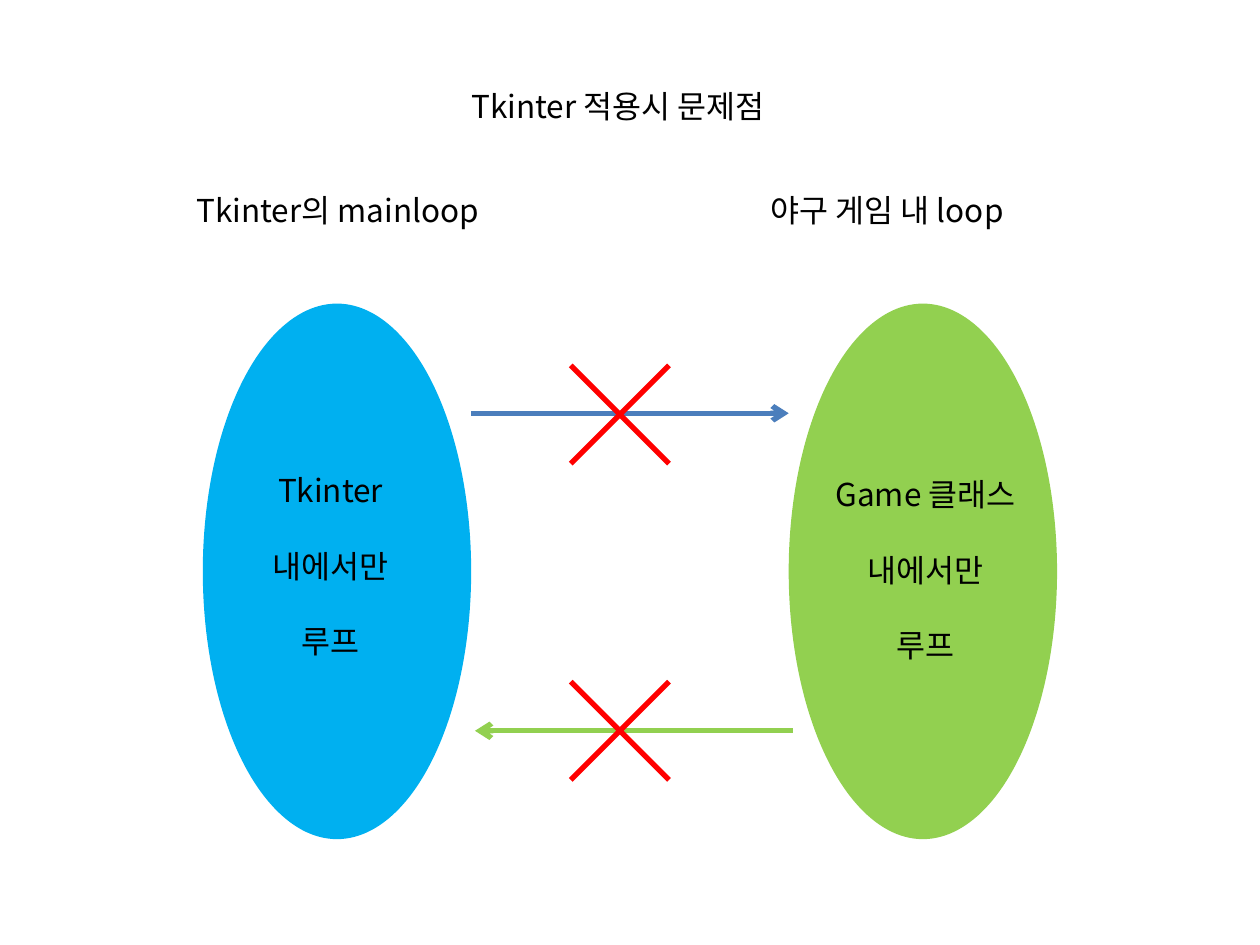
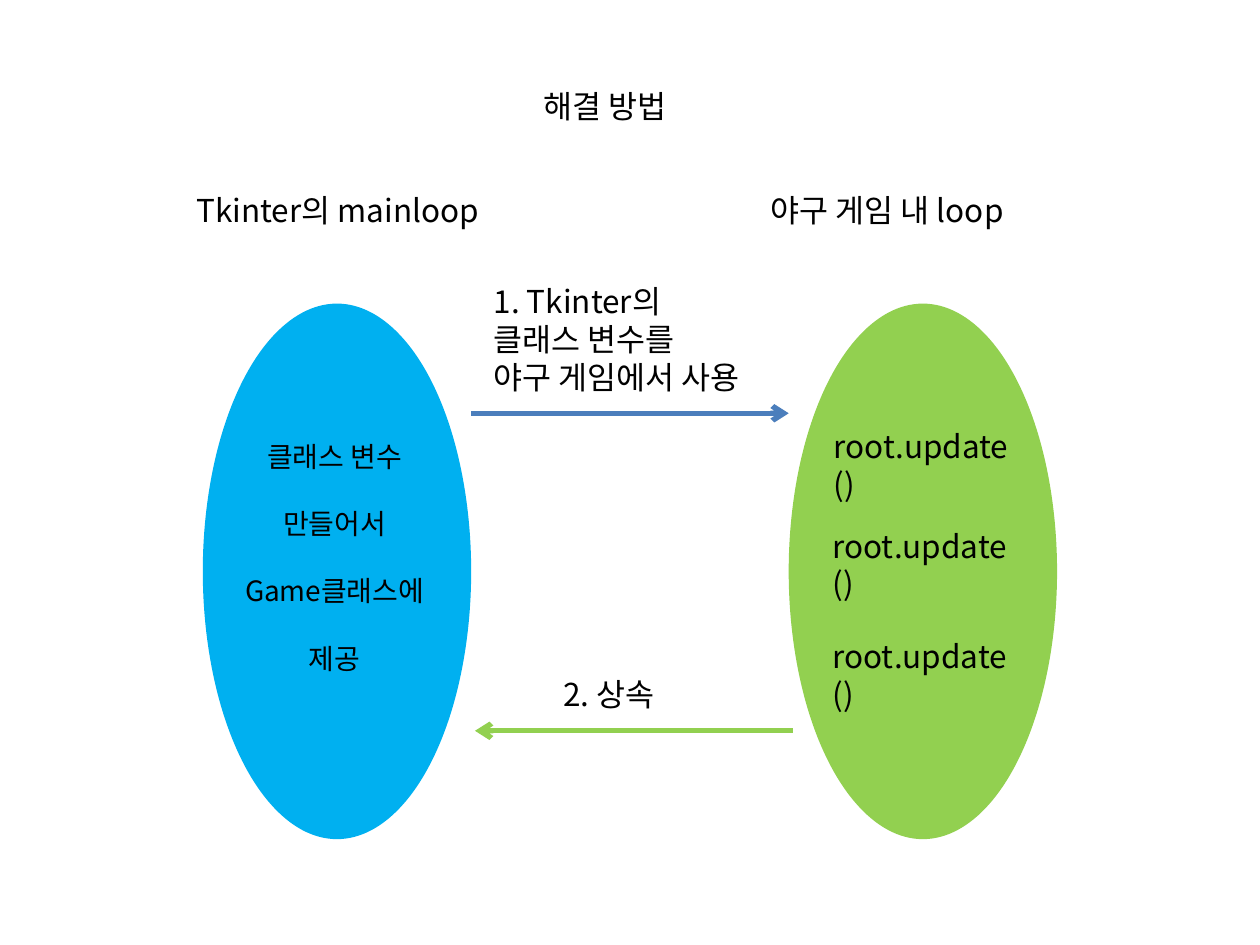
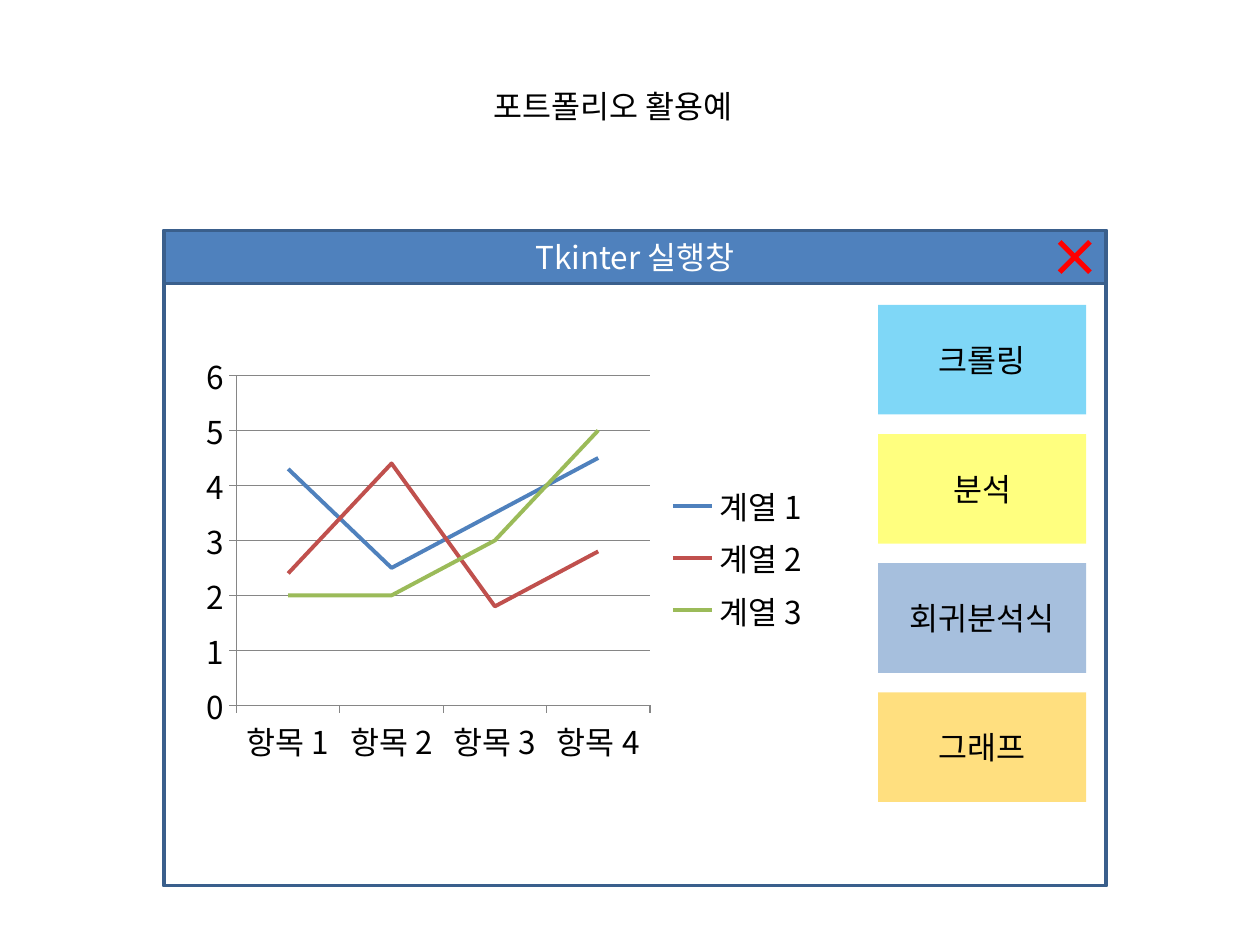
"""Build three slides on running Tkinter next to a game loop."""
from dataclasses import dataclass

from lxml import etree
from pptx import Presentation
from pptx.chart.data import CategoryChartData
from pptx.dml.color import RGBColor
from pptx.enum.chart import XL_CHART_TYPE, XL_LEGEND_POSITION, XL_TICK_MARK
from pptx.enum.shapes import MSO_CONNECTOR, MSO_SHAPE
from pptx.enum.text import MSO_ANCHOR, MSO_AUTO_SIZE, PP_ALIGN
from pptx.oxml.ns import qn
from pptx.util import Inches, Pt

LINE_CHART = XL_CHART_TYPE.LINE
LEGEND_RIGHT = XL_LEGEND_POSITION.RIGHT
TICK_OUTSIDE = XL_TICK_MARK.OUTSIDE
STRAIGHT = MSO_CONNECTOR.STRAIGHT
OVAL, RECTANGLE = MSO_SHAPE.OVAL, MSO_SHAPE.RECTANGLE
TOP, MIDDLE = MSO_ANCHOR.TOP, MSO_ANCHOR.MIDDLE
FIT_SHAPE = MSO_AUTO_SIZE.SHAPE_TO_FIT_TEXT
LEFT, CENTER = PP_ALIGN.LEFT, PP_ALIGN.CENTER

SLIDE_WIDTH, SLIDE_HEIGHT = Inches(10), Inches(7.5)
COLUMNS, ROWS = 100, 75
TITLE_ONLY = 5
TITLE_TOP, TITLE_WIDTH, LABEL_HEIGHT = 6.4, 45.7, 4
OVAL_TOP, OVAL_WIDTH, OVAL_HEIGHT = 24.1, 21.3, 42.5
TKINTER_LEFT, GAME_LEFT = 16.1, 62.6
FORWARD_ROW, BACK_ROW = 32.8, 58
CROSS_COLUMN = 49.2


@dataclass(frozen=True)
class Theme:
    """Colours, type and line sizes shared by all slides."""

    font: str = "Noto Sans CJK KR"
    body: int = 18
    small: int = 16
    line_height: float = 1.2
    text: str = "000000"
    light_text: str = "FFFFFF"
    tkinter: str = "00B0F0"
    game: str = "92D050"
    forward: str = "4B7EBC"
    cross: str = "FF0000"
    frame: str = "3A5F8C"
    bar: str = "4F81BD"
    yellow: str = "FFFF00"
    orange: str = "FFC000"
    axis: str = "868686"
    series: tuple = ("4F81BD", "C0504D", "9BBB59")
    arrow_width: float = 3
    frame_width: float = 2
    series_width: float = 2.25


THEME = Theme()


def rgb(code):
    """Turn a hex code into a colour."""
    return RGBColor.from_string(code)


def col(count):
    """Return the length of a number of grid columns."""
    return round(SLIDE_WIDTH * count / COLUMNS)


def row(count):
    """Return the length of a number of grid rows."""
    return round(SLIDE_HEIGHT * count / ROWS)


def box(left, top, width, height):
    """Return a slide area given in grid units."""
    return col(left), row(top), col(width), row(height)


def style_font(font, properties, size=THEME.body, color=THEME.text):
    """Set one typeface, size and colour for Latin and Korean text."""
    font.size = Pt(size)
    font.name = THEME.font
    font.color.rgb = rgb(color)
    etree.SubElement(properties, qn("a:ea"), typeface=THEME.font)


def write(frame, lines, size=THEME.body, color=THEME.text, align=LEFT, gap=0):
    """Fill a text frame, one paragraph for each line, gap lines apart."""
    frame.text = "\n".join(lines)
    frame.word_wrap = True
    for index, paragraph in enumerate(frame.paragraphs):
        paragraph.alignment = align
        if index and gap:
            paragraph.space_before = Pt(gap * size * THEME.line_height)
        font = paragraph.font
        style_font(font, paragraph._p.pPr.find(qn("a:defRPr")), size, color)


def add_slide(deck, title, left):
    """Add a slide with its title at the given column."""
    slide = deck.slides.add_slide(deck.slide_layouts[TITLE_ONLY])
    heading = slide.shapes.title
    heading.left, heading.top, heading.width, heading.height = box(
        left, TITLE_TOP, TITLE_WIDTH, LABEL_HEIGHT)
    write(heading.text_frame, [title])
    heading.text_frame.vertical_anchor = TOP
    heading.text_frame.auto_size = FIT_SHAPE
    return slide


def add_label(slide, area, *lines, **style):
    """Add free text that grows with its content."""
    frame = slide.shapes.add_textbox(*box(*area)).text_frame
    write(frame, lines, **style)
    frame.auto_size = FIT_SHAPE


def add_block(slide, preset, area, fill=None, alpha=None, outline=None):
    """Add a flat shape with optional fill, opacity and outline."""
    block = slide.shapes.add_shape(preset, *box(*area))
    block.shadow.inherit = False
    if fill:
        block.fill.solid()
        block.fill.fore_color.rgb = rgb(fill)
    else:
        block.fill.background()
    if alpha:
        tint = block._element.spPr.find(".//" + qn("a:srgbClr"))
        etree.SubElement(tint, qn("a:alpha"), val=str(alpha * 1000))
    if outline:
        block.line.color.rgb = rgb(outline)
        block.line.width = Pt(THEME.frame_width)
    else:
        block.line.fill.background()
    return block


def add_caption(block, caption, color=THEME.text):
    """Centre a caption inside a block."""
    write(block.text_frame, [caption], color=color, align=CENTER)
    block.text_frame.vertical_anchor = MIDDLE


def add_line(shapes, start, end, color, arrow=False):
    """Draw a straight line between two grid points."""
    line = shapes.add_connector(
        STRAIGHT, col(start[0]), row(start[1]), col(end[0]), row(end[1]))
    line.line.color.rgb = rgb(color)
    line.line.width = Pt(THEME.arrow_width)
    properties = line._element.spPr
    if arrow:
        etree.SubElement(properties.find(qn("a:ln")), qn("a:tailEnd"), type="arrow")
    etree.SubElement(properties, qn("a:effectLst"))


def add_cross(slide, x, y, arm):
    """Draw a grouped red cross around a grid point."""
    strokes = slide.shapes.add_group_shape().shapes
    for rise in (arm, -arm):
        add_line(strokes, (x - arm, y - rise), (x + arm, y + rise), THEME.cross)


def add_loops(slide):
    """Draw the two loops, their headings and the arrows between them."""
    for left, color in ((TKINTER_LEFT, THEME.tkinter), (GAME_LEFT, THEME.game)):
        add_block(slide, OVAL, (left, OVAL_TOP, OVAL_WIDTH, OVAL_HEIGHT), color)
    for left, heading in ((14.6, "Tkinter의 mainloop"), (60.2, "야구 게임 내 loop")):
        add_label(slide, (left, 14.7, 26, LABEL_HEIGHT), heading)
    inner_edge = TKINTER_LEFT + OVAL_WIDTH
    add_line(slide.shapes, (inner_edge, FORWARD_ROW), (GAME_LEFT, FORWARD_ROW),
             THEME.forward, arrow=True)
    add_line(slide.shapes, (GAME_LEFT + 0.3, BACK_ROW), (inner_edge + 0.3, BACK_ROW),
             THEME.game, arrow=True)


def add_line_chart(slide, area, categories, series):
    """Add the line chart with a legend on its right."""
    data = CategoryChartData()
    data.categories = categories
    for name, values in series.items():
        data.add_series(name, values)
    chart = slide.shapes.add_chart(LINE_CHART, *box(*area), data).chart
    chart.has_title = False
    chart.has_legend = True
    chart.legend.position = LEGEND_RIGHT
    chart.legend.include_in_layout = False
    style_font(chart.font, chart._chartSpace.find(
        qn("c:txPr")).find(".//" + qn("a:defRPr")))
    plot = chart.plots[0]
    plot.vary_by_categories = False
    for line, color in zip(plot.series, THEME.series):
        line.smooth = False
        line.format.line.color.rgb = rgb(color)
        line.format.line.width = Pt(THEME.series_width)
    scale = chart.value_axis
    scale.minimum_scale, scale.maximum_scale, scale.major_unit = 0, 6, 1
    scale.has_major_gridlines = True
    for axis in (chart.category_axis, scale):
        axis.major_tick_mark = TICK_OUTSIDE
        axis.format.line.color.rgb = rgb(THEME.axis)
    scale.major_gridlines.format.line.color.rgb = rgb(THEME.axis)


def build_problem(deck):
    """Show that neither loop can reach the other."""
    slide = add_slide(deck, "Tkinter 적용시 문제점", 36.4)
    add_loops(slide)
    for y in (FORWARD_ROW + 0.1, BACK_ROW):
        add_cross(slide, CROSS_COLUMN, y, 3.9)
    add_label(slide, (18.1, 36.9, 16.3, 16.2), "Tkinter", "내에서만", "루프",
              align=CENTER, gap=1)
    add_label(slide, (64.4, 37.2, 18.1, 16.2), "Game 클래스", "내에서만", "루프",
              align=CENTER, gap=1)


def build_solution(deck):
    """Show how class variables link the two loops."""
    slide = add_slide(deck, "해결 방법", 42.1)
    add_loops(slide)
    add_label(slide, (38.2, 21.9, 24.9, 10.1),
              "1. Tkinter의", "클래스 변수를", "야구 게임에서 사용")
    add_label(slide, (43.7, 53.1, 10.2, LABEL_HEIGHT), "2. 상속")
    for left, top in ((65.2, 33.4), (65.1, 41.3), (65.1, 50.1)):
        add_label(slide, (left, top, 16.3, LABEL_HEIGHT), "root.update()")
    add_label(slide, (17.1, 34.4, 18.9, 19.9),
              "클래스 변수", "만들어서", "Game클래스에", "제공",
              size=THEME.small, align=CENTER, gap=1)


def build_portfolio(deck):
    """Show a window with a chart and a column of buttons."""
    slide = add_slide(deck, "포트폴리오 활용예", 38.2)
    left, top, width = 13, 18.3, 74.8
    add_block(slide, RECTANGLE, (left, top, width, 52), outline=THEME.frame)
    add_line_chart(
        slide, (15.4, 27.3, 49.9, 34),
        [f"항목 {number}" for number in range(1, 5)],
        {"계열 1": (4.3, 2.5, 3.5, 4.5),
         "계열 2": (2.4, 4.4, 1.8, 2.8),
         "계열 3": (2, 2, 3, 5)})
    buttons = (("크롤링", THEME.tkinter), ("분석", THEME.yellow),
               ("회귀분석식", THEME.bar), ("그래프", THEME.orange))
    for index, (caption, color) in enumerate(buttons):
        area = (69.7, 24.2 + index * 10.25, 16.5, 8.7)
        add_caption(add_block(slide, RECTANGLE, area, color, alpha=50), caption)
    title_bar = add_block(slide, RECTANGLE, (left, top, width, 4.2),
                          THEME.bar, outline=THEME.frame)
    add_caption(title_bar, "Tkinter 실행창", THEME.light_text)
    add_cross(slide, 85.3, 20.4, 1.2)


def main():
    """Build and save the deck."""
    deck = Presentation()
    deck.slide_width, deck.slide_height = SLIDE_WIDTH, SLIDE_HEIGHT
    build_problem(deck)
    build_solution(deck)
    build_portfolio(deck)
    deck.save("out.pptx")


main()
